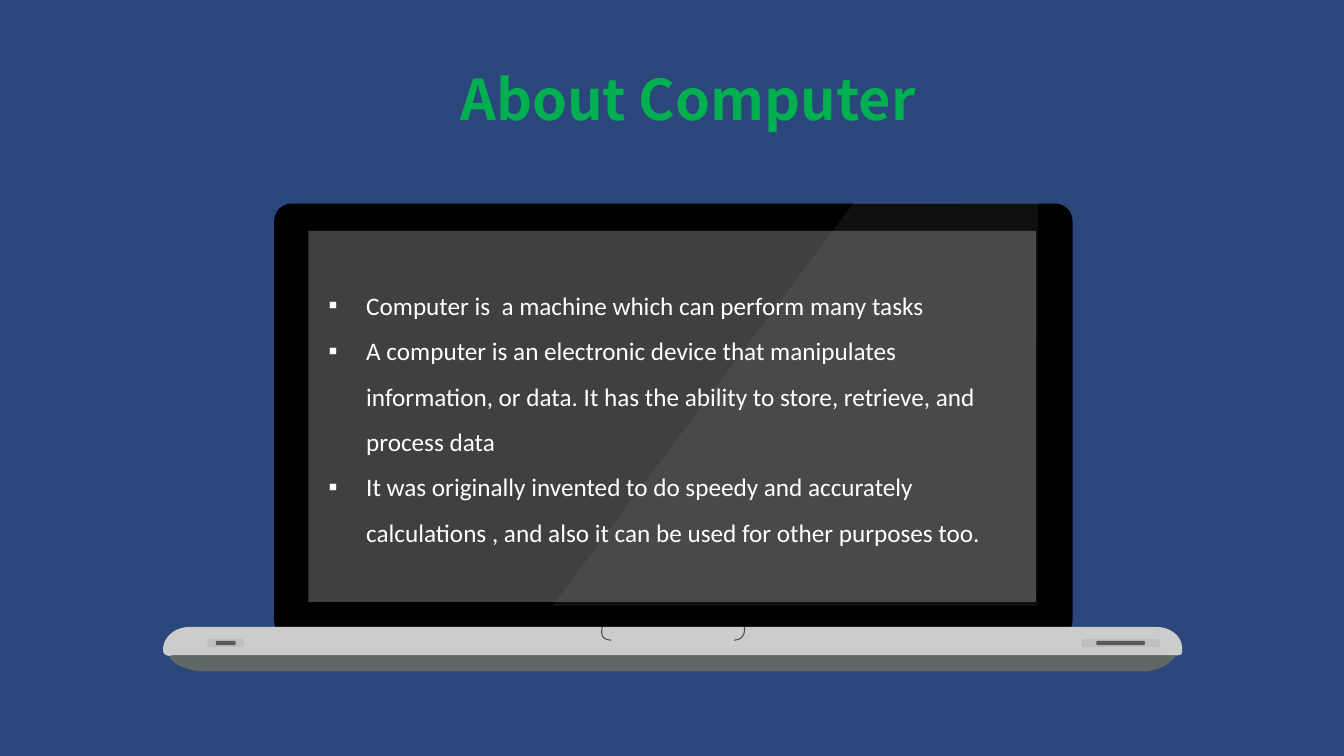
from typing import NamedTuple

from lxml.etree import SubElement
from pptx import Presentation
from pptx.dml.color import RGBColor
from pptx.enum.shapes import MSO_SHAPE as Preset
from pptx.enum.text import MSO_AUTO_SIZE as AutoSize
from pptx.oxml.ns import qn
from pptx.shapes.autoshape import Shape
from pptx.shapes.shapetree import GroupShapes, SlideShapes
from pptx.text.text import TextFrame, _Paragraph as Paragraph
from pptx.util import Cm, Pt

NAVY = RGBColor(0x2B, 0x46, 0x7B)
GREEN = RGBColor(0x00, 0xB0, 0x50)
WHITE = RGBColor(0xFF, 0xFF, 0xFF)
BLACK = RGBColor(0x00, 0x00, 0x00)
SCREEN_GREY = RGBColor(0x40, 0x40, 0x40)
BASE_GREY = RGBColor(0xCC, 0xCC, 0xCC)
FOOT_GREY = RGBColor(0x5F, 0x67, 0x67)
NOTCH_GREY = RGBColor(0x4D, 0x4D, 0x4D)
PORT_GREY = RGBColor(0xBF, 0xBF, 0xBF)
SLOT_GREY = RGBColor(0x59, 0x59, 0x59)
GLARE_GREY = RGBColor(0x99, 0x99, 0x99)

TITLE_FONT = "Noto Sans CJK JP"
BODY_FONT = "Calibri"
CURVE_STEPS = 12

Point = tuple[float, float]


class Panel(NamedTuple):
    """A rectangle in centimetres; corner is the rounding ratio."""
    left: float
    top: float
    width: float
    height: float
    color: RGBColor
    corner: float = 0


class Outline(NamedTuple):
    """Segments in centimetres: one point is a line, three are a Bézier curve."""
    start: Point
    segments: list[list[Point]]


LID = Panel(6.91, 5.13, 20.12, 10.95, BLACK, 0.04)
SCREEN = Panel(7.77, 5.82, 18.34, 9.35, SCREEN_GREY)
PORTS = [
    Panel(5.23, 16.1, 0.92, 0.21, PORT_GREY, 0.28),
    Panel(5.44, 16.15, 0.5, 0.11, SLOT_GREY, 0.28),
    Panel(27.25, 16.1, 1.98, 0.21, PORT_GREY, 0.28),
    Panel(27.63, 16.15, 1.22, 0.11, SLOT_GREY, 0.28),
]
FOOT = Outline((28.9, 16.92), [
    [(28.9, 16.92), (29.44, 16.87), (29.64, 16.51)],
    [(29.64, 16.4)],
    [(4.27, 16.4)],
    [(4.27, 16.56)],
    [(4.42, 16.79), (4.78, 16.89), (5.03, 16.92)],
])
BASE = Outline((4.78, 15.8), [
    [(29.16, 15.8)],
    [(29.49, 15.8), (29.79, 16.03), (29.79, 16.33)],
    [(29.79, 16.43)],
    [(29.79, 16.43), (29.82, 16.54), (29.57, 16.51)],
    [(4.35, 16.51)],
    [(4.27, 16.54), (4.14, 16.54), (4.11, 16.41)],
    [(4.11, 16.33)],
    [(4.14, 16.03), (4.42, 15.8), (4.78, 15.8)],
])
NOTCH_HOOKS = [
    Outline((15.18, 15.8), [[(15.11, 16.08), (15.28, 16.13), (15.4, 16.13)]]),
    Outline((18.76, 15.8), [[(18.79, 16.05), (18.64, 16.13), (18.5, 16.13)]]),
]
GLARE = Outline((21.54, 5.08), [[(26.16, 5.11)], [(26.14, 15.27)], [(13.92, 15.27)]])

FACTS = [
    "Computer is  a machine which can perform many tasks",
    "A computer is an electronic device that manipulates information, or data. "
    "It has the ability to store, retrieve, and process data",
    "It was originally invented to do speedy and accurately calculations , "
    "and also it can be used for other purposes too.",
]


def paint(shape: Shape, color: RGBColor) -> None:
    shape.shadow.inherit = False
    shape.fill.solid()
    shape.fill.fore_color.rgb = color
    shape.line.fill.background()


def draw_panel(shapes: GroupShapes, panel: Panel) -> None:
    preset = Preset.ROUNDED_RECTANGLE if panel.corner else Preset.RECTANGLE
    shape = shapes.add_shape(preset, Cm(panel.left), Cm(panel.top),
                             Cm(panel.width), Cm(panel.height))
    if panel.corner:
        shape.adjustments[0] = panel.corner
    paint(shape, panel.color)


def trace(outline: Outline) -> list[Point]:
    """Turn the curves of an outline into short straight steps."""
    points = [outline.start]
    for segment in outline.segments:
        if len(segment) == 1:
            points += segment
            continue
        corners = [points[-1], *segment]
        for step in range(1, CURVE_STEPS + 1):
            t = step / CURVE_STEPS
            weights = ((1 - t) ** 3, 3 * t * (1 - t) ** 2, 3 * t * t * (1 - t), t ** 3)
            points.append((sum(w * x for w, (x, _) in zip(weights, corners)),
                           sum(w * y for w, (_, y) in zip(weights, corners))))
    return points


def draw_outline(shapes: GroupShapes, outline: Outline, color: RGBColor,
                 closed: bool = True) -> Shape:
    start, *rest = [(Cm(x), Cm(y)) for x, y in trace(outline)]
    builder = shapes.build_freeform(*start)
    builder.add_line_segments(rest, close=closed)
    shape = builder.convert_to_shape()
    paint(shape, color)
    return shape


def draw_hook(shapes: GroupShapes, outline: Outline) -> None:
    shape = draw_outline(shapes, outline, NOTCH_GREY, closed=False)
    shape.fill.background()
    shape.line.color.rgb = NOTCH_GREY
    shape.line.width = Pt(0.75)


def add_text_box(shapes: SlideShapes, left: float, top: float,
                 width: float, height: float) -> TextFrame:
    box = shapes.add_textbox(Cm(left), Cm(top), Cm(width), Cm(height))
    box.text_frame.word_wrap = True
    box.text_frame.auto_size = AutoSize.SHAPE_TO_FIT_TEXT
    return box.text_frame


def add_span(para: Paragraph, text: str, font: str, size: int,
             color: RGBColor, bold: bool = False) -> None:
    span = para.add_run()
    span.text = text
    span.font.name = font
    span.font.size = Pt(size)
    span.font.color.rgb = color
    span.font.bold = bold


def add_bullet(para: Paragraph) -> None:
    properties = para._p.get_or_add_pPr()
    properties.set("marL", str(Cm(0.95)))
    properties.set("indent", str(Cm(-0.95)))
    SubElement(properties, qn("a:buFont")).set("typeface", BODY_FONT)
    SubElement(properties, qn("a:buChar")).set("char", "▪")


def main() -> None:
    deck = Presentation()
    deck.slide_width, deck.slide_height = Cm(33.87), Cm(19.05)
    page = deck.slides.add_slide(deck.slide_layouts[6])
    page.background.fill.solid()
    page.background.fill.fore_color.rgb = NAVY

    # Laptop, from back to front
    laptop = page.shapes.add_group_shape().shapes
    draw_outline(laptop, FOOT, FOOT_GREY)
    draw_panel(laptop, LID)
    draw_panel(laptop, SCREEN)
    draw_outline(laptop, BASE, BASE_GREY)
    for hook in NOTCH_HOOKS:
        draw_hook(laptop, hook)
    for port in PORTS:
        draw_panel(laptop, port)

    # Translucent glare on the screen
    glare = draw_outline(laptop, GLARE, GLARE_GREY)
    glare_color = glare._element.spPr.find(qn("a:solidFill"))[0]
    SubElement(glare_color, qn("a:alpha")).set("val", "10000")

    # Title
    title = add_text_box(page.shapes, 11.35, 1.5, 13.67, 1.96)
    add_span(title.paragraphs[0], "About Computer", TITLE_FONT, 40, GREEN, bold=True)

    # Facts on the screen
    body = add_text_box(page.shapes, 8.03, 6.81, 17.86, 8.2)
    for index, fact in enumerate(FACTS):
        para = body.add_paragraph() if index else body.paragraphs[0]
        para.line_spacing = 1.5
        add_bullet(para)
        add_span(para, fact, BODY_FONT, 18, WHITE)

    deck.save("out.pptx")


if __name__ == "__main__":
    main()
